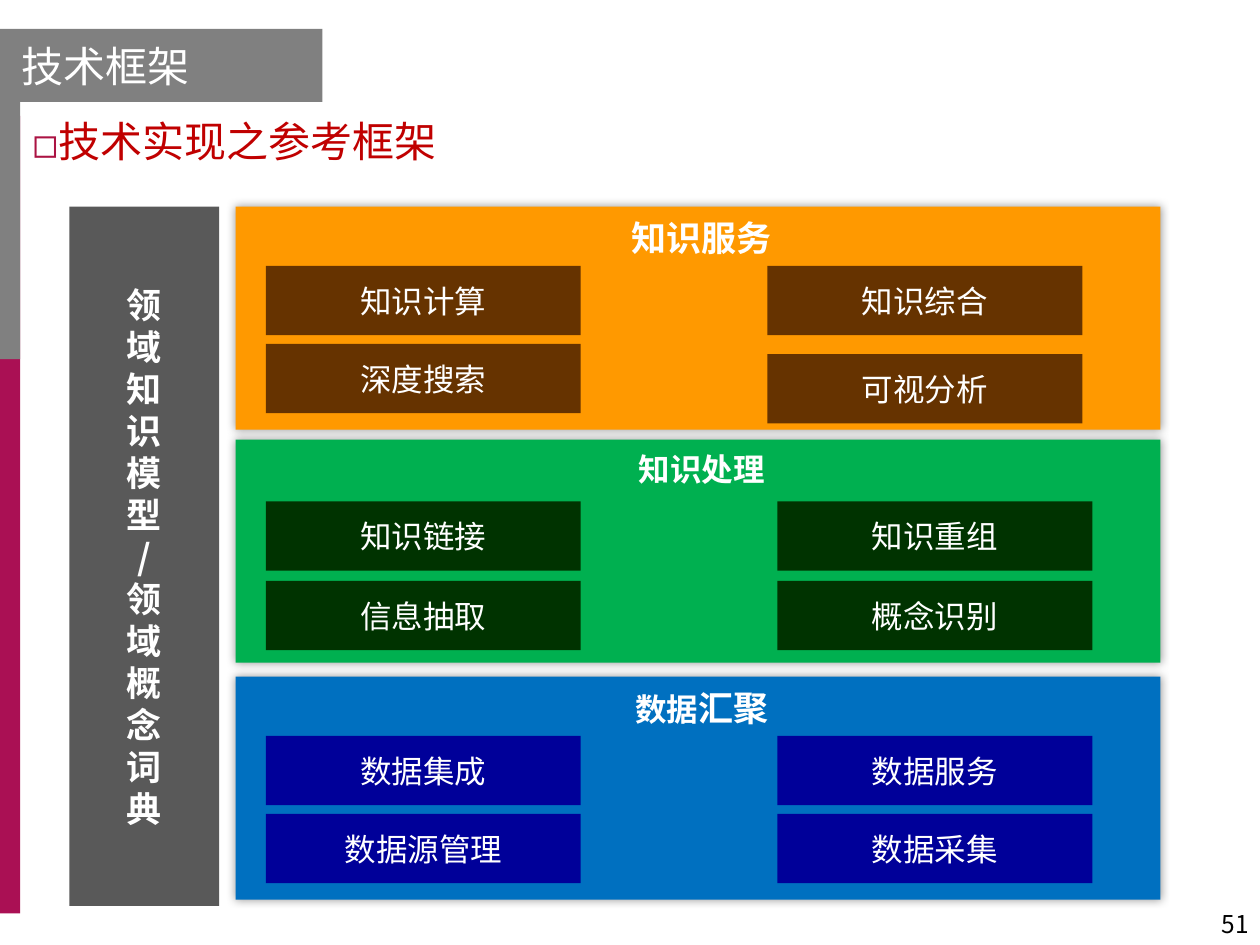
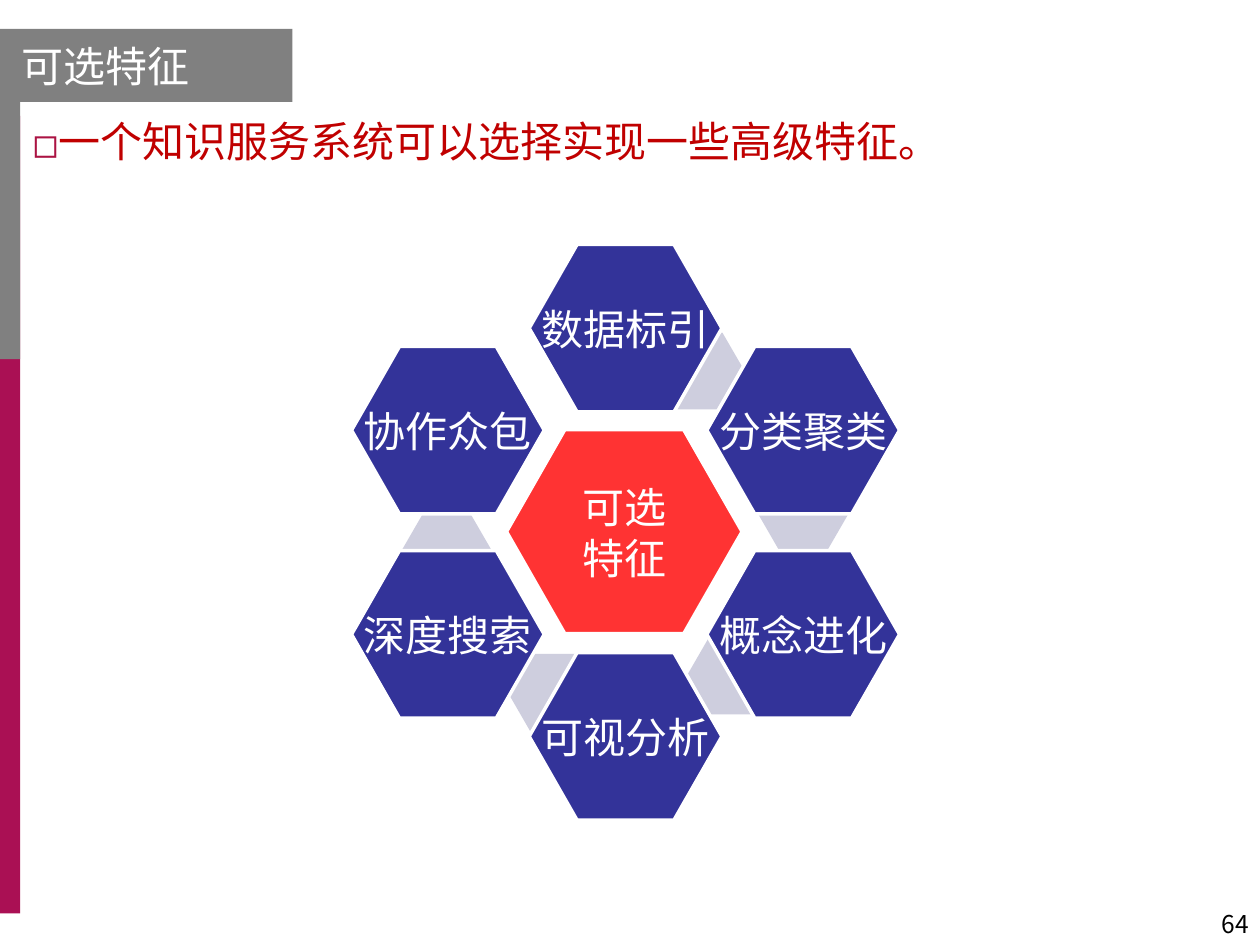
from math import cos, radians, sin
from lxml import etree
from pptx import Presentation
from pptx import util as u
from pptx.dml.color import RGBColor
from pptx.enum import shapes, text
from pptx.oxml.ns import qn

PX = 9144
FONT = "Noto Sans CJK SC"
HUE = {
    "wine": "AA1054", "gray": "808080", "dark": "595959", "white": "FFFFFF",
    "black": "000000", "red": "C00000", "mark": "AB1343",
    "gold": "FF9900", "brown": "663300", "green": "00B050", "pine": "003300",
    "blue": "0070C0", "navy": "000099",
    "core": "FF3333", "node": "333399", "link": "CECEDE",
}
RECT = shapes.MSO_SHAPE.RECTANGLE
HEXA = shapes.MSO_SHAPE.HEXAGON
MID, TOP, BOT = text.MSO_ANCHOR.MIDDLE, text.MSO_ANCHOR.TOP, text.MSO_ANCHOR.BOTTOM
LEFT, MEAN, RIGHT = text.PP_ALIGN.LEFT, text.PP_ALIGN.CENTER, text.PP_ALIGN.RIGHT


def box(page, kind, area, fill, line=None):
    item = page.shapes.add_shape(kind, *[n * PX for n in area])
    item.shadow.inherit = False
    item.fill.solid()
    item.fill.fore_color.rgb = RGBColor.from_string(HUE[fill])
    if line:
        item.line.color.rgb = RGBColor.from_string(HUE[line])
        item.line.width = u.Pt(2)
    else:
        item.line.fill.background()
    return item


def write(item, lines, hue="white", bold=False, gap=None, align=MEAN, mark=None, **form):
    frame = item.text_frame
    form = {"word_wrap": True, "vertical_anchor": MID, **form}
    for name, value in form.items():
        setattr(frame, name, value)
    for i, runs in enumerate(lines):
        para = frame.paragraphs[0] if i == 0 else frame.add_paragraph()
        para.alignment = align
        if gap:
            para.line_spacing = u.Pt(gap)
        if mark:
            prop = para._p.get_or_add_pPr()
            prop.set("marL", "0")
            prop.set("indent", str(-38 * PX))
            tint = etree.SubElement(prop, qn("a:buClr"))
            etree.SubElement(tint, qn("a:srgbClr"), val=HUE["mark"])
            etree.SubElement(prop, qn("a:buFont"), typeface=FONT)
            etree.SubElement(prop, qn("a:buChar"), char=mark)
        for words, size in runs:
            run = para.add_run()
            run.text = words
            run.font.color.rgb = RGBColor.from_string(HUE[hue])
            for name, value in {"size": u.Pt(size), "bold": bold, "name": FONT}.items():
                setattr(run.font, name, value)
            etree.SubElement(run._r.get_or_add_rPr(), qn("a:ea"), typeface=FONT)


deck = Presentation()
deck.slide_width = 1000 * PX
deck.slide_height = 750 * PX

heads = [
    ("技术框架", 256, "技术实现之参考框架", 893, "51"),
    ("可选特征", 232, "一个知识服务系统可以选择实现一些高级特征。", 938, "64"),
]
pages = []
for title, wide, lead, span, count in heads:
    page = deck.slides.add_slide(deck.slide_layouts[6])
    pages.append(page)
    box(page, RECT, (0, 92, 16, 633), "wine")
    box(page, RECT, (0, 25, 16, 260), "gray")
    tab = box(page, RECT, (0, 23, wide, 58), "gray")
    write(tab, [[(title, 24)]], align=LEFT, margin_left=17 * PX)
    note = page.shapes.add_textbox(16 * PX, 83 * PX, span * PX, 622 * PX)
    write(note, [[(lead, 24)]], hue="red", align=LEFT, mark="◻",
          vertical_anchor=TOP, margin_top=9 * PX)
    foot = page.shapes.add_textbox(768 * PX, 698 * PX, 233 * PX, 52 * PX)
    write(foot, [[(count, 14)]], hue="black", align=RIGHT, vertical_anchor=BOT)

frame, ring = pages

pillar = box(frame, RECT, (55, 164, 119, 555), "dark")
write(pillar, [[(sign, 20)] for sign in "领域知识模型/领域概念词典"], bold=True, gap=24)

layers = [
    (164, "gold", "brown", [("知识服务", 20)],
     [(211, 211, "知识计算"), (211, 273, "深度搜索"),
      (609, 211, "知识综合"), (609, 281, "可视分析")]),
    (349, "green", "pine", [("知识处理", 18)],
     [(211, 398, "知识链接"), (211, 461, "信息抽取"),
      (617, 398, "知识重组"), (617, 461, "概念识别")]),
    (537, "blue", "navy", [("数据", 18), ("汇聚", 20)],
     [(211, 584, "数据集成"), (211, 646, "数据源管理"),
      (617, 584, "数据服务"), (617, 646, "数据采集")]),
]
for top, back, fill, name, tiles in reversed(layers):
    layer = box(frame, RECT, (187, top, 734, 177), back)
    glow = etree.SubElement(layer._element.spPr.find(qn("a:effectLst")), qn("a:outerShdw"),
                            blurRad=str(u.Pt(5)), dist="0", dir="0", algn="ctr", rotWithShape="0")
    tint = etree.SubElement(glow, qn("a:srgbClr"), val=HUE["black"])
    etree.SubElement(tint, qn("a:alpha"), val="40000")
    write(layer, [name], bold=True, gap=max(size for _, size in name) * 1.2,
          vertical_anchor=TOP, margin_left=16 * PX, margin_top=8 * PX)
    for x, y, label in tiles:
        tile = box(frame, RECT, (x, y, 250, 55), fill)
        write(tile, [[(label, 18)]])

core = box(ring, HEXA, (402, 341, 187, 162), "core", "white")
core.adjustments[0] = 0.286
write(core, [[("可选", 24)], [("特征", 24)]], gap=29, word_wrap=False)

for x, y in [(520, 264), (602, 378), (545, 506), (403, 519), (319, 406)]:
    link = box(ring, HEXA, (x, y, 71, 61), "link")
    link.adjustments[0] = 0.289

traits = ["数据标引", "分类聚类", "概念进化", "可视分析", "深度搜索", "协作众包"]
for i, trait in enumerate(traits):
    turn = radians(60 * i)
    x = round(420 + 163 * sin(turn))
    y = round(356 - 162 * cos(turn))
    node = box(ring, HEXA, (x, y, 153, 133), "node", "white")
    node.adjustments[0] = 0.286
    write(node, [[(trait, 24)]], word_wrap=False)

deck.save("out.pptx")
